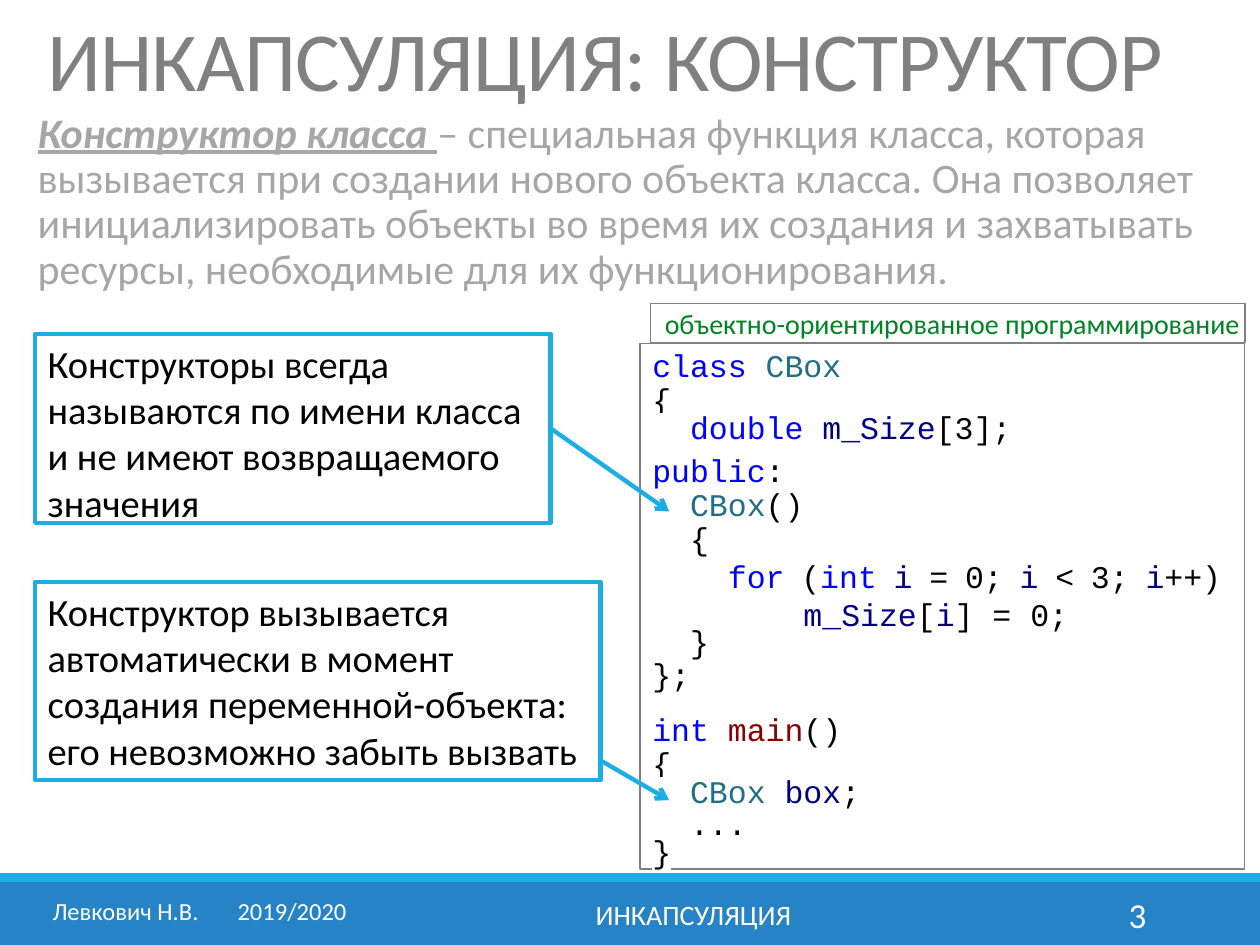
from dataclasses import dataclass

from lxml.etree import SubElement
from pptx import Presentation
from pptx.dml.color import RGBColor
from pptx.enum.shapes import MSO_CONNECTOR, MSO_SHAPE
from pptx.enum.text import MSO_ANCHOR, PP_ALIGN
from pptx.oxml.ns import qn
from pptx.shapes.autoshape import Shape
from pptx.shapes.connector import Connector
from pptx.slide import Slide
from pptx.text.text import TextFrame, _Paragraph
from pptx.util import Cm, Pt

WHITE = RGBColor(0xFF, 0xFF, 0xFF)
BLACK = RGBColor(0x00, 0x00, 0x00)
GRAY = RGBColor(0x80, 0x80, 0x80)
LIGHT_GRAY = RGBColor(0xA6, 0xA6, 0xA6)
BLUE = RGBColor(0x26, 0x83, 0xC6)
CYAN = RGBColor(0x1C, 0xAD, 0xE4)
GREEN = RGBColor(0x00, 0x82, 0x25)
KEYWORD = RGBColor(0x00, 0x00, 0xFF)
TYPE = RGBColor(0x21, 0x6F, 0x85)
VARIABLE = RGBColor(0x00, 0x00, 0x80)
FUNCTION = RGBColor(0x88, 0x00, 0x00)

TOKEN_COLORS = {
    **dict.fromkeys(("class", "double", "public", "for", "int"), KEYWORD),
    **dict.fromkeys(("m_Size", "i", "box"), VARIABLE),
    "CBox": TYPE,
    "main": FUNCTION,
}


@dataclass(frozen=True)
class Box:
    left: float
    top: float
    width: float
    height: float

    def lengths(self) -> tuple[Cm, Cm, Cm, Cm]:
        return Cm(self.left), Cm(self.top), Cm(self.width), Cm(self.height)


@dataclass(frozen=True)
class Style:
    size: float
    color: RGBColor
    align: PP_ALIGN = PP_ALIGN.LEFT
    anchor: MSO_ANCHOR = MSO_ANCHOR.TOP


@dataclass(frozen=True)
class CodeLine:
    tokens: str
    spacing: float = 0.9
    before: float = 0
    space_size: float = 18


@dataclass(frozen=True)
class Callout:
    box: Box
    lines: tuple[str, ...]
    arrow_start: tuple[float, float]
    arrow_end: tuple[float, float]
    from_middle: bool


CALLOUTS = (
    Callout(
        Box(0.71, 6.73, 10.39, 3.81),
        ("Конструкторы всегда называются по имени класса и не имеют возвращаемого значения",),
        (11.1, 8.64), (13.49, 10.31), True,
    ),
    Callout(
        Box(0.71, 11.73, 11.4, 3.99),
        ("Конструктор вызывается автоматически в момент создания переменной-объекта:",
         "его невозможно забыть вызвать"),
        (12.09, 15.32), (13.49, 16.13), False,
    ),
)

CODE = (
    CodeLine("class| |CBox"),
    CodeLine("{"),
    CodeLine("  double| |m_Size|[3];", 0.7),
    CodeLine("public|:", before=6),
    CodeLine("  |CBox|()"),
    CodeLine("  {"),
    CodeLine("    |for| |(|int| |i| |=| |0;| |i| |<| |3;| |i|++)", 1.0, space_size=16),
    CodeLine("        |m_Size|[|i|] = 0;", 1.0),
    CodeLine("  }", 0.7),
    CodeLine("};"),
    CodeLine("int| |main|()", before=12),
    CodeLine("{"),
    CodeLine("  |CBox| |box|;", 0.7),
    CodeLine("  ..."),
    CodeLine("}", 0.7),
)


def add_rect(s: Slide, box: Box, fill: RGBColor | None = None,
             line: RGBColor | None = None, width: float = 0.75) -> Shape:
    sp = s.shapes.add_shape(MSO_SHAPE.RECTANGLE, *box.lengths())
    sp.shadow.inherit = False
    if fill is None:
        sp.fill.background()
    else:
        sp.fill.solid()
        sp.fill.fore_color.rgb = fill
    if line is None:
        sp.line.fill.background()
    else:
        sp.line.color.rgb = line
        sp.line.width = Pt(width)
    return sp


def next_paragraph(tf: TextFrame, index: int) -> _Paragraph:
    return tf.add_paragraph() if index else tf.paragraphs[0]


def write(tf: TextFrame, style: Style, *lines: str) -> _Paragraph:
    tf.word_wrap = True
    tf.vertical_anchor = style.anchor
    for index, line in enumerate(lines):
        p = next_paragraph(tf, index)
        p.alignment = style.align
        p.font.name = "Calibri"
        p.font.size = Pt(style.size)
        p.font.color.rgb = style.color
        if line:
            p.add_run().text = line
    return tf.paragraphs[0]


def add_text(s: Slide, box: Box, style: Style, text: str = "") -> _Paragraph:
    return write(s.shapes.add_textbox(*box.lengths()).text_frame, style, text)


def add_arrow(s: Slide, start: tuple[float, float], end: tuple[float, float]) -> Connector:
    c = s.shapes.add_connector(MSO_CONNECTOR.STRAIGHT, *map(Cm, start + end))
    c.line.color.rgb = CYAN
    c.line.width = Pt(2.5)
    SubElement(c.line._get_or_add_ln(), qn("a:tailEnd"), type="arrow")
    SubElement(c._element.spPr, qn("a:effectLst"))
    return c


def write_code(tf: TextFrame, lines: tuple[CodeLine, ...]) -> None:
    tf.word_wrap = True
    tf.vertical_anchor = MSO_ANCHOR.TOP
    for index, line in enumerate(lines):
        p = next_paragraph(tf, index)
        p.alignment = PP_ALIGN.LEFT
        p.line_spacing = line.spacing
        if line.before:
            p.space_before = Pt(line.before)
        p.font.name = "Courier New"
        for token in line.tokens.split("|"):
            r = p.add_run()
            r.text = token
            r.font.size = Pt(line.space_size if token == " " else 18)
            r.font.color.rgb = TOKEN_COLORS.get(token.strip(), BLACK)
            highlight = SubElement(r.font._element, qn("a:highlight"))
            SubElement(highlight, qn("a:srgbClr"), val=str(WHITE))


def add_definition(s: Slide) -> None:
    p = add_text(s, Box(0.51, 2.13, 24.51, 3.96), Style(24, LIGHT_GRAY))
    p.line_spacing = 0.9
    r = p.add_run()
    r.text = "Конструктор класса "
    r.font.bold = r.font.italic = r.font.underline = True
    p.add_run().text = (
        "– специальная функция класса, которая вызывается при создании нового объекта "
        "класса. Она позволяет инициализировать объекты во время их создания и "
        "захватывать ресурсы, необходимые для их функционирования."
    )


def add_footer(s: Slide) -> None:
    p = s.shapes.add_textbox(*Box(0.81, 17.93, 6.63, 1.02).lengths()).text_frame.paragraphs[0]
    tabs = SubElement(p._p.get_or_add_pPr(), qn("a:tabLst"))
    SubElement(tabs, qn("a:tab"), pos=str(Cm(3.73)), algn="l")
    write(p._parent, Style(14, WHITE), "Левкович Н.В.\t2019/2020")
    add_text(s, Box(7.67, 17.93, 12.62, 1.02),
             Style(16, WHITE, PP_ALIGN.CENTER, MSO_ANCHOR.MIDDLE), "ИНКАПСУЛЯЦИЯ")
    add_text(s, Box(20.62, 17.93, 2.74, 1.02),
             Style(20, WHITE, PP_ALIGN.RIGHT, MSO_ANCHOR.MIDDLE), "3")


def main() -> None:
    prs = Presentation()
    prs.slide_width, prs.slide_height = Cm(25.4), Cm(19.05)
    s = prs.slides.add_slide(prs.slide_layouts[6])
    add_rect(s, Box(0, 17.78, 25.4, 1.27), BLUE)
    add_rect(s, Box(0, 17.6, 25.4, 0.18), CYAN)

    title = add_text(s, Box(0.71, 0.33, 24, 4.04), Style(48, GRAY), "ИНКАПСУЛЯЦИЯ: КОНСТРУКТОР")
    title.line_spacing = 0.85
    title.runs[0].font._element.set("spc", "-50")
    add_definition(s)
    add_footer(s)

    write_code(add_rect(s, Box(12.9, 6.93, 12.19, 10.59), line=GRAY).text_frame, CODE)
    tf = add_rect(s, Box(13.11, 6.12, 11.99, 0.79), line=GRAY).text_frame
    tf.margin_left = tf.margin_right = Cm(0.1)
    tf.margin_top = tf.margin_bottom = 0
    write(tf, Style(16, GREEN, PP_ALIGN.RIGHT, MSO_ANCHOR.MIDDLE),
          "объектно-ориентированное программирование")

    for callout in CALLOUTS:
        sp = add_rect(s, callout.box, line=CYAN, width=2.5)
        write(sp.text_frame, Style(22, BLACK), *callout.lines)
        arrow = add_arrow(s, callout.arrow_start, callout.arrow_end)
        if callout.from_middle:
            arrow.begin_connect(sp, 3)
    prs.save("out.pptx")


if __name__ == "__main__":
    main()
